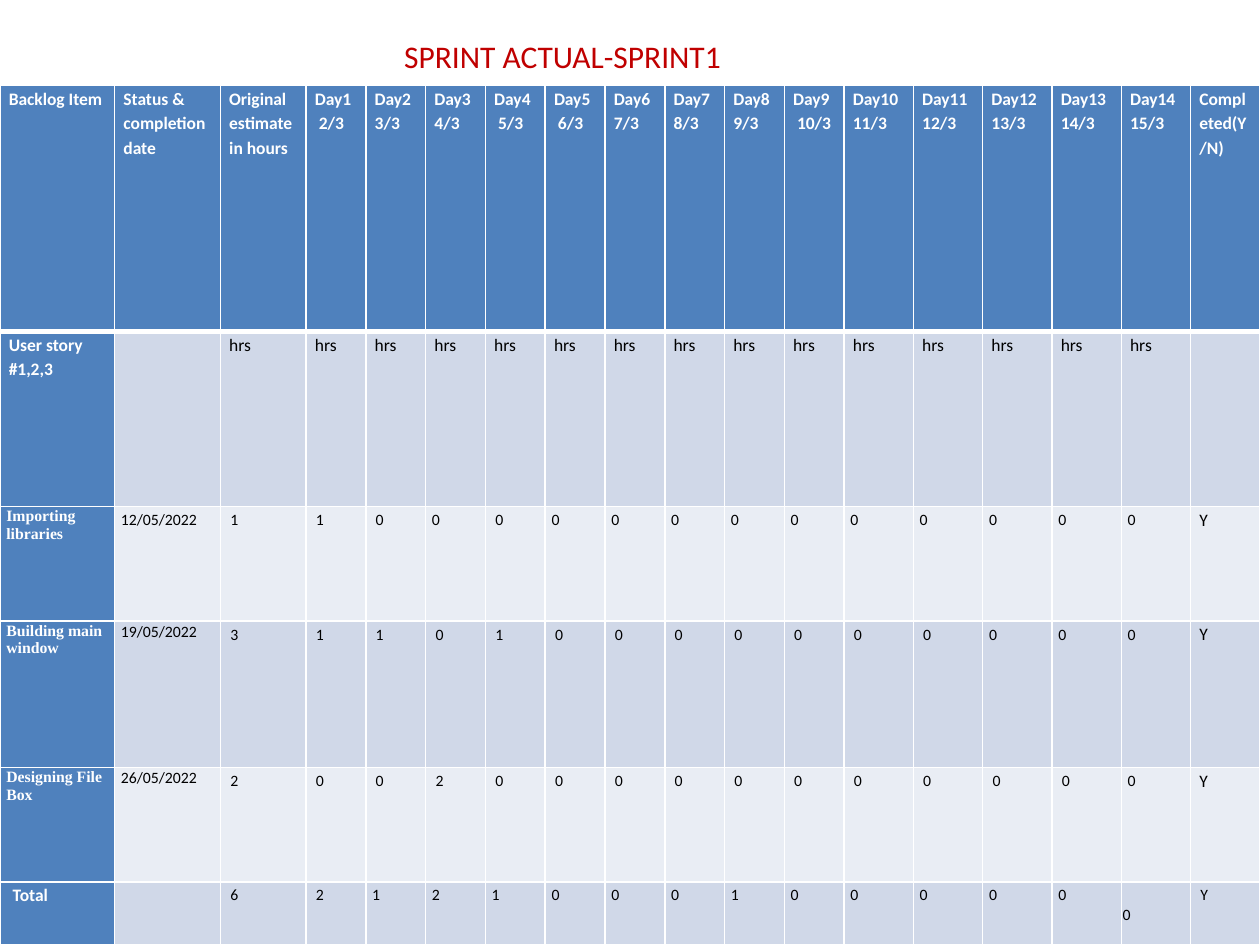
from lxml.etree import SubElement
from pptx import Presentation
from pptx.dml.color import RGBColor as Color
from pptx.enum.text import MSO_ANCHOR as Anchor
from pptx.oxml.ns import qn
from pptx.util import Inches, Pt

COLORS = {
    "title": "C00000",
    "header": "4F81BD",
    "dark_band": "D0D8E8",
    "light_band": "E9EDF4",
    "white": "FFFFFF",
    "ink": "000000",
}
WIDTH, HEIGHT = 10, 7.5
TABLE_TOP = 0.68
LEAD_WIDTHS = [0.91, 0.84, 0.68]
WIDE_COLUMN, WIDE_COUNT, NARROW_COUNT = 0.55, 6, 9
NARROW_COLUMN = (WIDTH - sum(LEAD_WIDTHS) - WIDE_COLUMN * WIDE_COUNT) / NARROW_COUNT
COLUMN_WIDTHS = LEAD_WIDTHS + [NARROW_COLUMN] * NARROW_COUNT + [WIDE_COLUMN] * WIDE_COUNT
ROW_HEIGHTS = [1.95, 1.39, 0.91, 1.16, 0.91, 0.5]

DAYS = 14
DATES = [" 2/3", "3/3", "4/3", " 5/3", " 6/3", "7/3", "8/3", "9/3", " 10/3",
         "11/3", "12/3", "13/3", "14/3", "15/3"]
ROWS = [
    ["Backlog Item", "Status & completion date", "Original estimate in hours"]
    + [f"Day{day}\n{date}" for day, date in enumerate(DATES, 1)] + ["Completed(Y/N)"],
    ["User story #1,2,3", ""] + ["hrs"] * (DAYS + 1) + [""],
    ["Importing libraries", "12/05/2022", " 1", " 1", " 0", "0", " 0"] + ["0"] * 10 + ["Y"],
    ["Building main window", "19/05/2022", " 3", " 1", " 1", " 0", " 1"]
    + [" 0"] * 7 + ["0"] * 3 + ["Y"],
    ["Designing File Box", "26/05/2022", " 2", " 0", " 0", " 2"] + [" 0"] * 10 + ["0", "Y"],
    [" Total", "", " 6", " 2", "1", "2", "1", "0", "0", "0", "1"] + ["0"] * 6 + [" Y"],
]
TOTAL_ROW = len(ROWS) - 1
LAST_DAY = DAYS + 2
ROOMY = (0.07, 0, 0.07, 0)
COMPACT = (0.05, 0.01, 0.05, 0)
TIGHT = (0.01, 0.01, 0.01, 0)


def write_text(frame, text, size=9, font="Calibri", color="ink", bold=False,
               spacing=1.15, after=0):
    for index, line in enumerate(text.split("\n")):
        paragraph = frame.paragraphs[0] if index == 0 else frame.add_paragraph()
        paragraph.line_spacing = spacing
        paragraph.space_after = Pt(after)
        run = paragraph.add_run()
        run.text = line
        run.font.size = Pt(size)
        run.font.name = font
        run.font.bold = bold
        run.font.color.rgb = Color.from_string(COLORS[color])


def set_borders(cell, **widths):
    properties = cell._tc.get_or_add_tcPr()
    for index, side in enumerate("LRTB"):
        line = SubElement(properties, qn(f"a:ln{side}"), w=str(Pt(widths.get(side, 1))))
        fill = SubElement(line, qn("a:solidFill"))
        SubElement(fill, qn("a:srgbClr"), val=COLORS["white"])
        properties.insert(index, line)


def cell_format(row, column):
    if row == 0:
        return ROOMY, dict(size=10, color="white", bold=True)
    if column == 0:
        if row in (1, TOTAL_ROW):
            return ROOMY, dict(size=10, color="white", bold=True)
        return COMPACT, dict(font="Times New Roman", color="white", bold=True, spacing=1)
    if row == 1 or (column > LAST_DAY and row < TOTAL_ROW):
        return ROOMY, dict(size=10)
    if column == 1 and row > 2:
        return COMPACT, dict(spacing=1)
    if (row, column) == (TOTAL_ROW, LAST_DAY):
        return TIGHT, dict(after=10)
    return COMPACT, dict(after=10)


def cell_fill(row, column):
    if row == 0 or column == 0:
        return "header"
    return "dark_band" if row % 2 else "light_band"


def fill_cell(cell, text, row, column):
    cell.fill.solid()
    cell.fill.fore_color.rgb = Color.from_string(COLORS[cell_fill(row, column)])
    set_borders(cell, T=3 if row == 1 else 1, B=3 if row == 0 else 1)
    if not text:
        return
    margins, text_format = cell_format(row, column)
    cell.margin_left, cell.margin_top, cell.margin_right, cell.margin_bottom = map(Inches, margins)
    if margins == TIGHT:
        cell.vertical_anchor = Anchor.MIDDLE
    write_text(cell.text_frame, text, **text_format)


def add_sprint_table(slide):
    shape = slide.shapes.add_table(len(ROWS), len(COLUMN_WIDTHS), 0, Inches(TABLE_TOP),
                                   Inches(WIDTH), Inches(sum(ROW_HEIGHTS)))
    table = shape.table
    for column, width in zip(table.columns, COLUMN_WIDTHS):
        column.width = Inches(width)
    for row, height in zip(table.rows, ROW_HEIGHTS):
        row.height = Inches(height)
    for row, texts in enumerate(ROWS):
        for column, text in enumerate(texts):
            fill_cell(table.cell(row, column), text, row, column)


def add_title(slide):
    shape = slide.shapes.add_textbox(Inches(3.11), Inches(0.24), Inches(3.54), Inches(0.4))
    frame = shape.text_frame
    frame.word_wrap = True
    frame.vertical_anchor = Anchor.MIDDLE
    write_text(frame, "SPRINT ACTUAL-SPRINT1", size=18, color="title", spacing=1)


def main():
    presentation = Presentation()
    presentation.slide_width, presentation.slide_height = Inches(WIDTH), Inches(HEIGHT)
    slide = presentation.slides.add_slide(presentation.slide_layouts[6])
    add_sprint_table(slide)
    add_title(slide)
    presentation.save("out.pptx")


if __name__ == "__main__":
    main()
